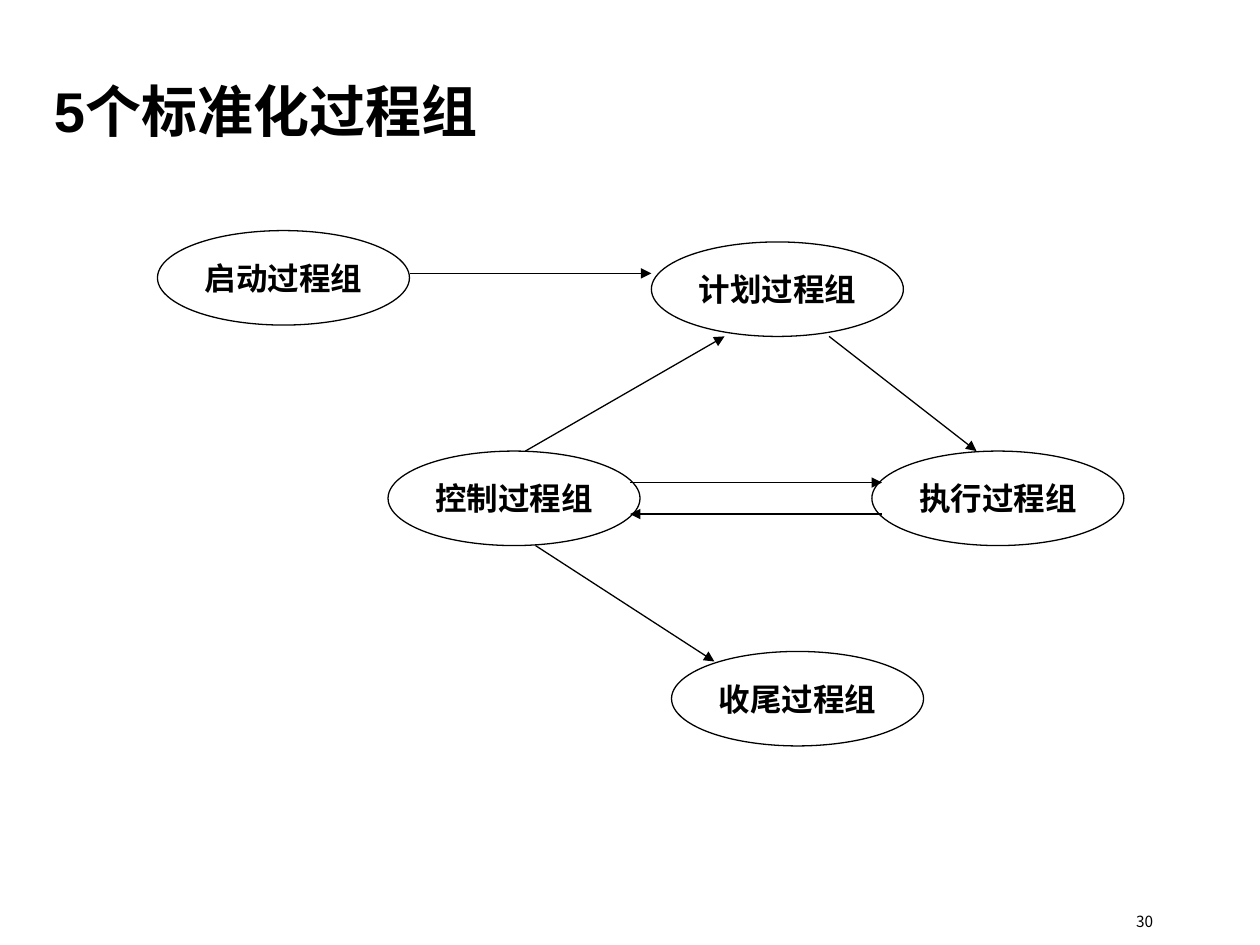
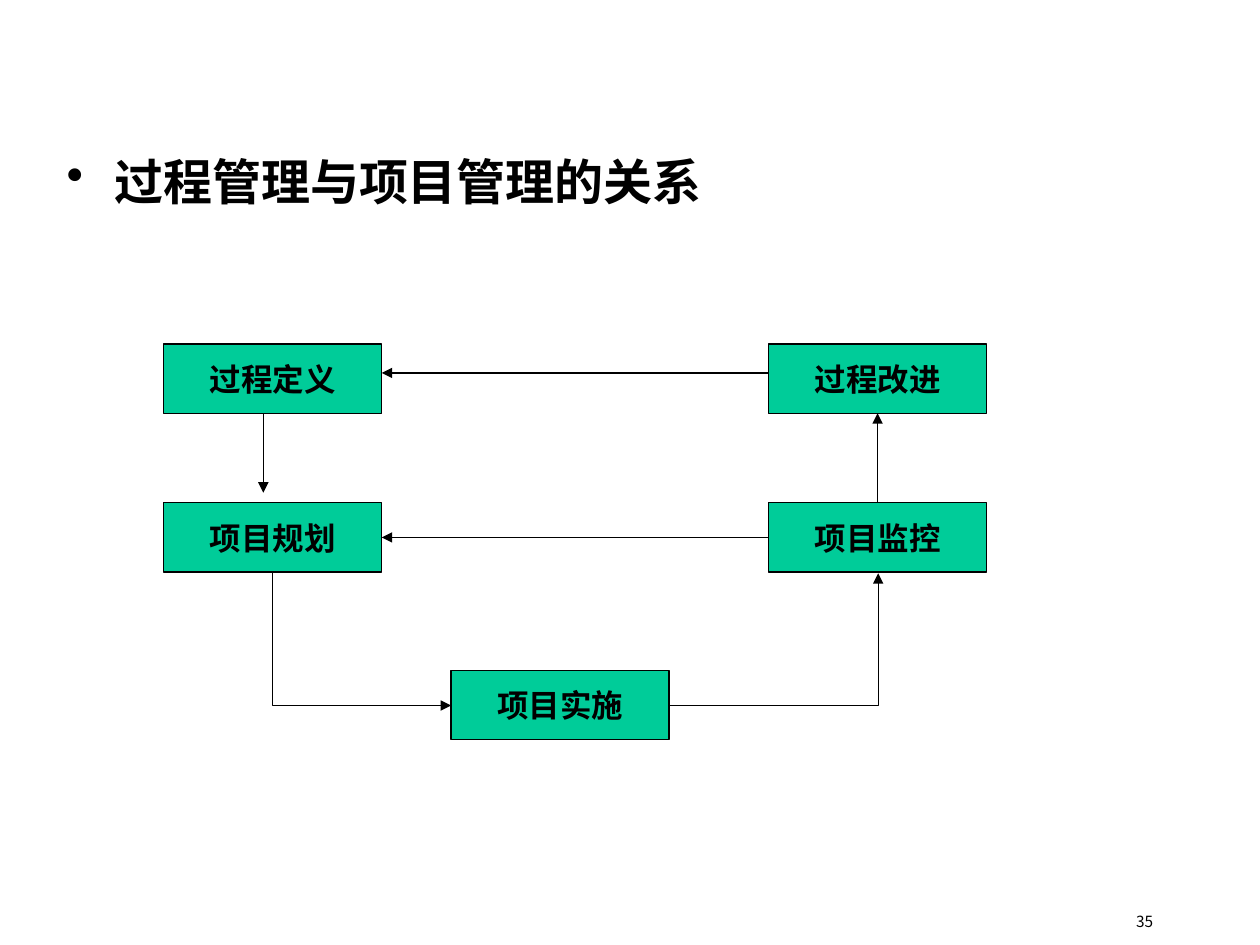
from pptx import Presentation
from pptx.dml.color import RGBColor
from pptx.enum.shapes import MSO_CONNECTOR, MSO_SHAPE
from pptx.enum.text import MSO_ANCHOR, PP_ALIGN
from pptx.oxml.ns import qn
from pptx.util import Inches, Pt
from lxml.etree import SubElement

BLACK = RGBColor(0x00, 0x00, 0x00)
GREEN = RGBColor(0x00, 0xCC, 0x99)


class Deck:
    heading_font = "Arial"
    number_font = "Noto Sans CJK KR"
    line_width = Pt(0.75)

    def __init__(self):
        self.presentation = Presentation()
        self.presentation.slide_width = Inches(10)
        self.presentation.slide_height = Inches(7.5)
        self.slide = None

    def new_slide(self, number):
        layout = self.presentation.slide_layouts[6]
        self.slide = self.presentation.slides.add_slide(layout)
        paragraph = self.text(str(number), 7.17, 7.22, 2.08, 0.28)
        paragraph.alignment = PP_ALIGN.RIGHT
        paragraph.line_spacing = 0.8
        self.style(paragraph, 8.8, self.number_font, False)

    def style(self, paragraph, size, name=heading_font, bold=True):
        font = paragraph.font
        font.size = Pt(size)
        font.name = name
        font.bold = bold
        font.color.rgb = BLACK

    def text(self, wording, left, top, width, height, anchor=MSO_ANCHOR.TOP):
        box = self.slide.shapes.add_textbox(
            Inches(left), Inches(top), Inches(width), Inches(height))
        frame = box.text_frame
        frame.word_wrap = True
        frame.vertical_anchor = anchor
        frame.text = wording
        return frame.paragraphs[0]

    def title(self, wording):
        paragraph = self.text(wording, 0.33, 0.25, 9.34, 1.25, MSO_ANCHOR.MIDDLE)
        self.style(paragraph, 32)

    def bullet(self, wording):
        paragraph = self.text(wording, 0.43, 1.15, 9.06, 5.77)
        properties = paragraph._p.get_or_add_pPr()
        properties.set("marL", str(Inches(0.38)))
        properties.set("indent", str(-Inches(0.38)))
        SubElement(properties, qn("a:buChar")).set("char", "•")
        self.style(paragraph, 28)

    def node(self, wording, kind, left, top, width, height, fill=None):
        shape = self.slide.shapes.add_shape(
            kind, Inches(left), Inches(top), Inches(width), Inches(height))
        shape.shadow.inherit = False
        if fill is None:
            shape.fill.background()
        else:
            shape.fill.solid()
            shape.fill.fore_color.rgb = fill
        shape.line.color.rgb = BLACK
        shape.line.width = self.line_width
        frame = shape.text_frame
        frame.word_wrap = False
        frame.vertical_anchor = MSO_ANCHOR.MIDDLE
        frame.text = wording
        paragraph = frame.paragraphs[0]
        paragraph.alignment = PP_ALIGN.CENTER
        self.style(paragraph, 18)
        return shape

    def arrow(self, start, end, kind=MSO_CONNECTOR.STRAIGHT):
        connector = self.slide.shapes.add_connector(
            kind, *(Inches(value) for value in (*start, *end)))
        connector.line.color.rgb = BLACK
        connector.line.width = self.line_width
        properties = connector._element.spPr
        SubElement(properties.find(qn("a:ln")), qn("a:tailEnd")).set("type", "triangle")
        SubElement(properties, qn("a:effectLst"))
        return connector

    def joined_arrow(self, source, source_side, target, target_side):
        connector = self.arrow((0, 0), (1, 1))
        connector.begin_connect(source, source_side)
        connector.end_connect(target, target_side)

    def elbow(self, start, end, vertical_first=False):
        if vertical_first:
            middle_x, middle_y = (start[0] + end[0]) / 2, (start[1] + end[1]) / 2
            half_x, half_y = (end[0] - start[0]) / 2, (end[1] - start[1]) / 2
            start = (middle_x + half_y, middle_y - half_x)
            end = (middle_x - half_y, middle_y + half_x)
        connector = self.arrow(start, end, MSO_CONNECTOR.ELBOW)
        properties = connector._element.spPr
        properties.find(qn("a:prstGeom")).set("prst", "bentConnector2")
        if vertical_first:
            properties.find(qn("a:xfrm")).set("rot", str(270 * 60000))


def process_groups(deck):
    deck.new_slide(30)
    deck.title("5个标准化过程组")
    groups = [
        ("启动过程组", 1.25, 1.83),
        ("计划过程组", 5.17, 1.92),
        ("控制过程组", 3.08, 3.58),
        ("执行过程组", 6.92, 3.58),
        ("收尾过程组", 5.33, 5.17),
    ]
    for wording, left, top in groups:
        deck.node(wording, MSO_SHAPE.OVAL, left, top, 2, 0.75)
    flows = [
        ((3.25, 2.17), (5.17, 2.17)),
        ((4.17, 3.58), (5.75, 2.67)),
        ((6.58, 2.67), (7.75, 3.58)),
        ((5, 3.83), (7, 3.83)),
        ((7, 4.08), (5, 4.08)),
        ((4.25, 4.33), (5.67, 5.25)),
    ]
    for start, end in flows:
        deck.arrow(start, end)


def process_and_project(deck):
    deck.new_slide(35)
    deck.bullet("过程管理与项目管理的关系")
    left, right = 1.3, 6.1
    upper, lower = 2.73, 3.99
    steps = [
        ("过程定义", left, upper),
        ("项目规划", left, lower),
        ("项目实施", 3.58, 5.32),
        ("过程改进", right, upper),
        ("项目监控", right, lower),
    ]
    boxes = {
        wording: deck.node(wording, MSO_SHAPE.RECTANGLE, x, y, 1.73, 0.55, GREEN)
        for wording, x, y in steps
    }
    deck.arrow((6.1, 2.96), (3.03, 2.96))
    deck.arrow((2.09, 3.28), (2.09, 3.91))
    deck.elbow((2.16, 4.54), (3.58, 5.6), vertical_first=True)
    deck.elbow((5.32, 5.6), (6.97, 4.55))
    deck.joined_arrow(boxes["项目监控"], 0, boxes["过程改进"], 2)
    deck.joined_arrow(boxes["项目监控"], 1, boxes["项目规划"], 3)


def main():
    deck = Deck()
    process_groups(deck)
    process_and_project(deck)
    deck.presentation.save("out.pptx")


if __name__ == "__main__":
    main()
